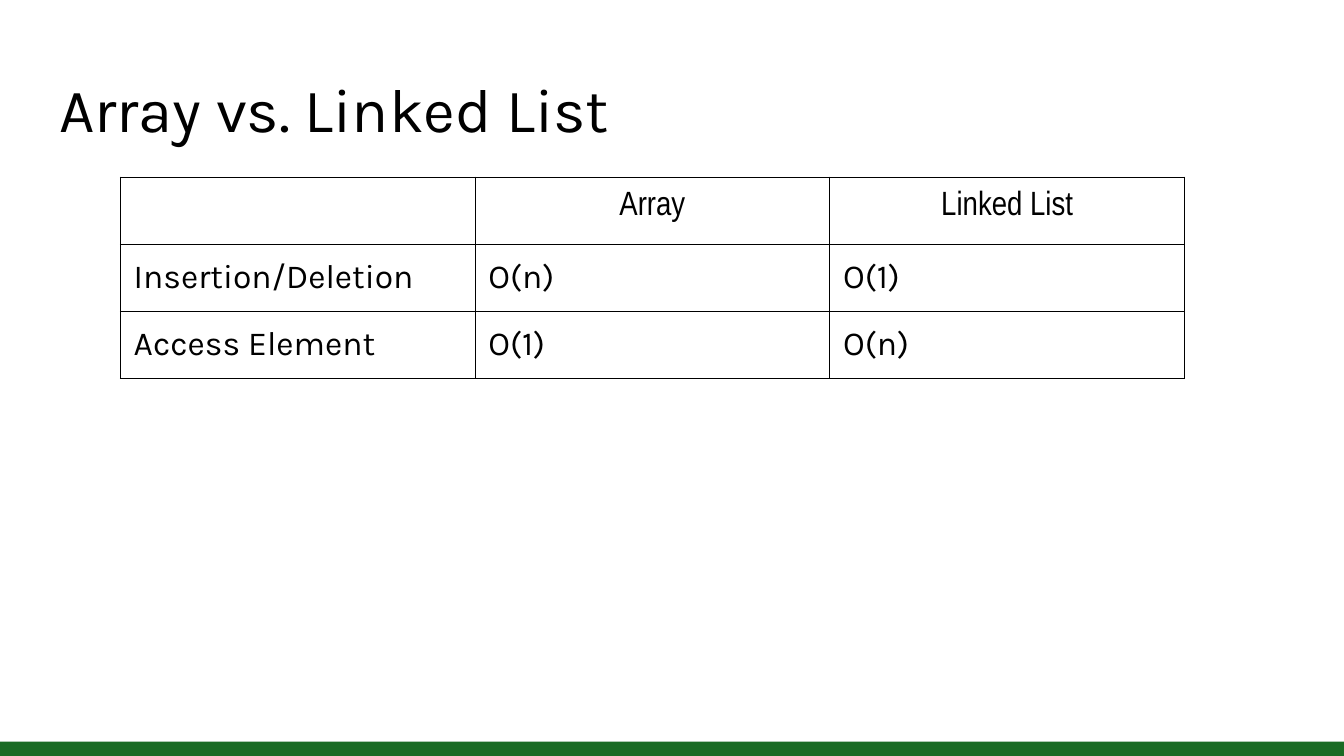
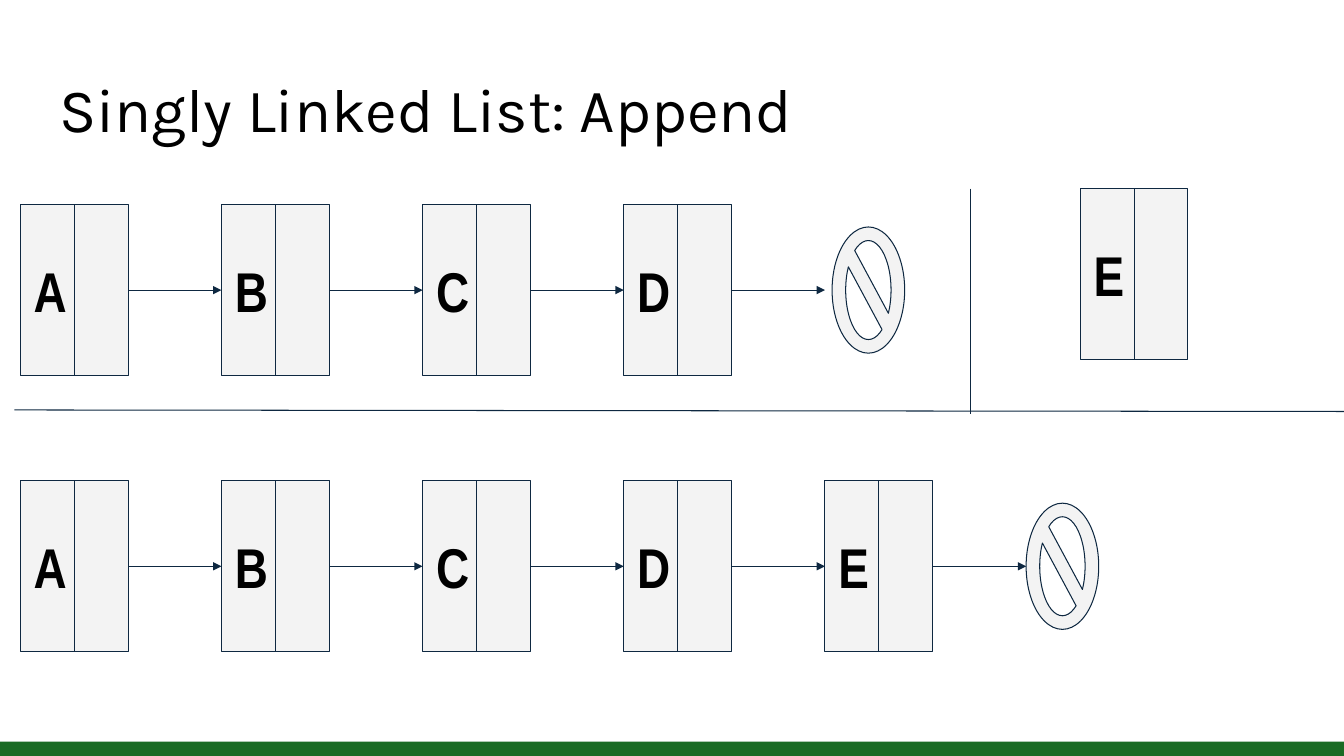
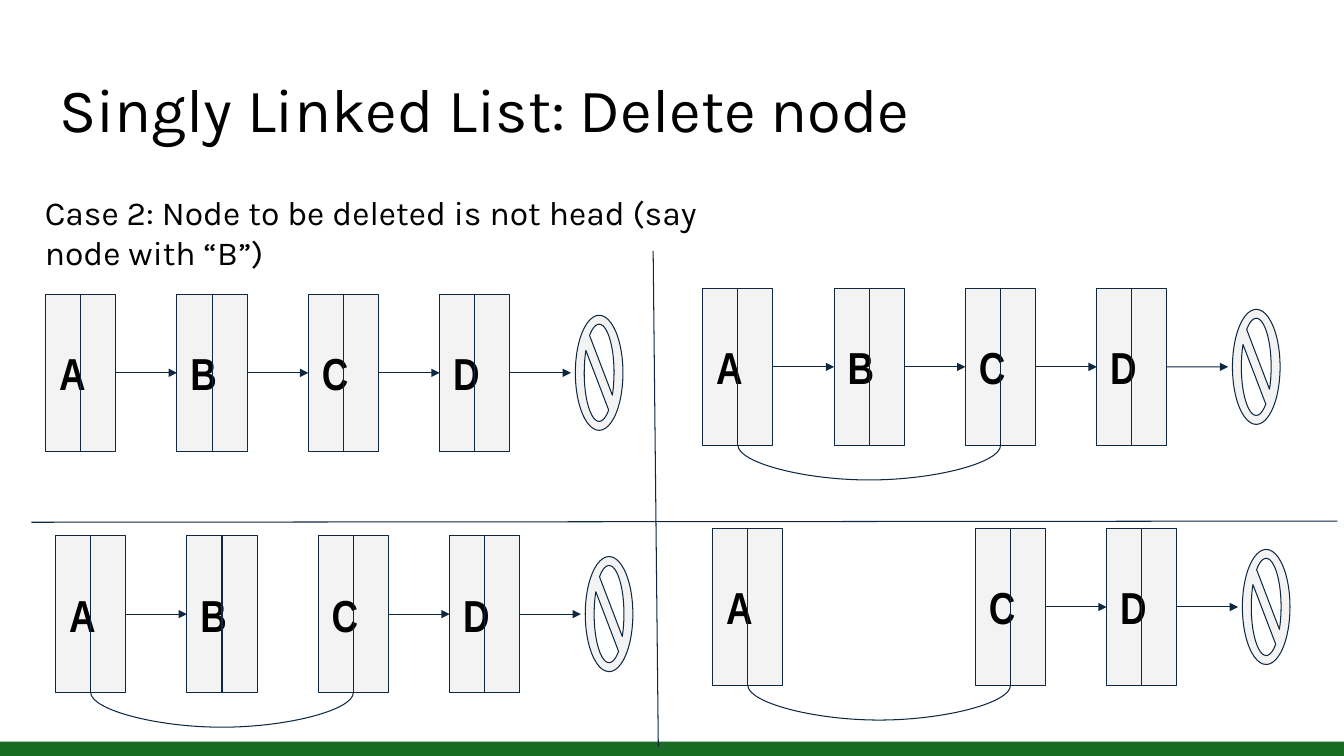
from dataclasses import dataclass

from pptx import Presentation
from pptx.dml.color import RGBColor
from pptx.enum.shapes import MSO_CONNECTOR as Connector, MSO_SHAPE as Shape
from pptx.enum.text import MSO_ANCHOR as Anchor, MSO_AUTO_SIZE as AutoSize, PP_ALIGN as Align
from pptx.oxml.ns import qn
from pptx.util import Cm, Pt
from lxml.etree import SubElement

BLACK, WHITE, GREEN, NAVY, GREY = "000000", "FFFFFF", "196B24", "0E2841", "F3F3F3"
BODY_FONT, NODE_FONT = "Karla", "Arial Narrow"
SLIDE_WIDTH, SLIDE_HEIGHT = 33.87, 19.05
BAND_HEIGHT = 0.36
INSET = 0.34
LINE_WIDTH = 0.75


@dataclass
class ListStyle:
    """Measures of a drawn linked list, in centimetres and points."""
    step: float
    node_width: float
    node_height: float
    null_width: float
    null_height: float
    font_size: int


LARGE = ListStyle(5.07, 2.72, 4.32, 1.83, 3.18, 40)
SMALL = ListStyle(3.31, 1.77, 3.95, 1.2, 2.9, 32)


def color(value):
    """Turn a hex string into a colour."""
    return RGBColor.from_string(value)


def set_text(frame, text, size, font=BODY_FONT, bold=False, align=Align.LEFT, anchor=Anchor.TOP):
    """Fill a text frame with one formatted paragraph."""
    frame.word_wrap = True
    frame.auto_size = AutoSize.NONE
    frame.vertical_anchor = anchor
    frame.margin_left = frame.margin_right = Cm(INSET)
    frame.margin_top = frame.margin_bottom = Cm(INSET)
    frame.text = text
    paragraph = frame.paragraphs[0]
    format_paragraph(paragraph, size, font, bold, align)
    return paragraph


def format_paragraph(paragraph, size, font, bold, align):
    """Align a paragraph and format its runs."""
    paragraph.alignment = align
    for run in paragraph.runs:
        run.font.size = Pt(size)
        run.font.name = font
        run.font.bold = bold
        run.font.color.rgb = color(BLACK)


def add_box(slide, kind, left, top, width, height, fill, line=None):
    """Add a flat preset shape."""
    shape = slide.shapes.add_shape(kind, Cm(left), Cm(top), Cm(width), Cm(height))
    shape.shadow.inherit = False
    shape.fill.solid()
    shape.fill.fore_color.rgb = color(fill)
    if line:
        shape.line.color.rgb = color(line)
        shape.line.width = Pt(LINE_WIDTH)
    else:
        shape.line.fill.background()
    return shape


def add_line(slide, x1, y1, x2, y2, arrow=False, kind=Connector.STRAIGHT):
    """Add a thin connector, with an arrowhead at its end if wanted."""
    line = slide.shapes.add_connector(kind, Cm(x1), Cm(y1), Cm(x2), Cm(y2))
    line.line.color.rgb = color(NAVY)
    line.line.width = Pt(LINE_WIDTH)
    if arrow:
        SubElement(line.line._get_or_add_ln(), qn("a:tailEnd"), type="triangle")
    SubElement(line.element.spPr, qn("a:effectLst"))
    return line


def add_node(slide, left, top, letter, style):
    """Add a list node: a lettered box split by a line."""
    node = add_box(slide, Shape.RECTANGLE, left, top, style.node_width, style.node_height, GREY, NAVY)
    set_text(node.text_frame, letter, style.font_size, NODE_FONT, True, anchor=Anchor.MIDDLE)
    middle = left + style.node_width / 2
    divider = add_line(slide, middle, top, middle, top + style.node_height)
    divider.begin_connect(node, 0)
    divider.end_connect(node, 2)
    return node


def add_bypass(slide, source, target, depth=0.88, thickness=0.01):
    """Curve below the nodes from the bottom of one to the bottom of another."""
    curve = add_line(slide, 0, 0, 1, 1, kind=Connector.CURVE)
    curve.begin_connect(source, 2)
    curve.end_connect(target, 2)
    span = target.left - source.left
    middle = source.left + source.width // 2 + span // 2
    curve.width, curve.height = Cm(thickness), span
    curve.left = middle - curve.width // 2
    curve.top = source.top + source.height - span // 2
    transform = curve.element.spPr.find(qn("a:xfrm"))
    for name, value in (("rot", "16200000"), ("flipH", "1"), ("flipV", "0")):
        transform.set(name, value)
    geometry = curve.element.spPr.find(qn("a:prstGeom"))
    guides = geometry.find(qn("a:avLst"))
    if guides is None:
        guides = SubElement(geometry, qn("a:avLst"))
    SubElement(guides, qn("a:gd"), name="adj1", fmla=f"val {round(depth / thickness * 100000)}")


def draw_list(slide, left, top, letters, style, linked=None, null_gap=0.0, bypass=False):
    """Draw a linked list; a space leaves a slot empty, linked names the nodes with an arrow."""
    linked = letters if linked is None else linked
    nodes = {
        letter: add_node(slide, left + index * style.step, top, letter, style)
        for index, letter in enumerate(letters) if letter != " "
    }
    middle = top + style.node_height / 2
    for index, letter in enumerate(letters):
        if letter not in linked:
            continue
        slot = left + index * style.step
        arrow = add_line(slide, slot + style.node_width, middle, slot + style.step, middle, arrow=True)
        arrow.begin_connect(nodes[letter], 3)
        following = nodes.get(letters[index + 1:index + 2])
        if following is not None:
            arrow.end_connect(following, 1)
    add_box(slide, Shape.NO_SYMBOL, left + len(letters) * style.step + null_gap,
            middle - style.null_height / 2, style.null_width, style.null_height, GREY, NAVY)
    if bypass:
        add_bypass(slide, nodes["A"], nodes["C"])


def add_titled_slide(presentation, title):
    """Add a title-only slide with its title in place."""
    slide = presentation.slides.add_slide(presentation.slide_layouts[5])
    shape = slide.shapes.title
    shape.left, shape.top, shape.width, shape.height = Cm(1.15), Cm(1.65), Cm(31.55), Cm(2.62)
    set_text(shape.text_frame, title, 44).line_spacing = 0.9
    return slide


def put_band_on_layout(slide):
    """Give the layout of the slide its white ground and green bottom band."""
    layout = slide.slide_layout
    layout.background.fill.solid()
    layout.background.fill.fore_color.rgb = color(WHITE)
    band = add_box(slide, Shape.RECTANGLE, 0, SLIDE_HEIGHT - BAND_HEIGHT, SLIDE_WIDTH, BAND_HEIGHT, GREEN)
    layout.shapes.element.append(band.element)


def style_cell(cell, text, font, align):
    """Write a clear cell with thin black borders."""
    cell.margin_left = cell.margin_right = Cm(INSET)
    cell.margin_top = cell.margin_bottom = Cm(INSET)
    cell.text = text
    format_paragraph(cell.text_frame.paragraphs[0], 24, font, False, align)
    properties = cell._tc.get_or_add_tcPr()
    for side in ("lnL", "lnR", "lnT", "lnB"):
        border = SubElement(properties, qn(f"a:{side}"), w=str(Pt(LINE_WIDTH)))
        SubElement(SubElement(border, qn("a:solidFill")), qn("a:srgbClr"), val=BLACK)
    cell.fill.background()


def add_comparison(slide, left, top, column_width, row_height, rows):
    """Add the comparison table, its first row being centred headings."""
    columns = len(rows[0])
    table = slide.shapes.add_table(len(rows), columns, Cm(left), Cm(top),
                                   Cm(columns * column_width), Cm(len(rows) * row_height)).table
    table.first_row = table.horz_banding = False
    for row_index, row in enumerate(rows):
        font, align = (BODY_FONT, Align.LEFT) if row_index else (NODE_FONT, Align.CENTER)
        for column_index, text in enumerate(row):
            style_cell(table.cell(row_index, column_index), text, font, align)


def build_comparison_slide(presentation):
    """Compare arrays and linked lists."""
    slide = add_titled_slide(presentation, "Array vs. Linked List")
    put_band_on_layout(slide)
    add_comparison(slide, 3.03, 4.46, 8.94, 1.69, [
        ["", "Array", "Linked List"],
        ["Insertion/Deletion", "O(n)", "O(1)"],
        ["Access Element", "O(1)", "O(n)"],
    ])


def build_append_slide(presentation):
    """Show a list before and after appending a node."""
    slide = add_titled_slide(presentation, "Singly Linked List: Append")
    draw_list(slide, 0.51, 5.15, "ABCD", LARGE, null_gap=0.18)
    add_node(slide, 27.22, 4.75, "E", LARGE)
    add_line(slide, 24.45, 4.75, 24.45, 10.44)
    add_line(slide, 0.36, 10.33, SLIDE_WIDTH, 10.37)
    draw_list(slide, 0.51, 12.11, "ABCDE", LARGE)


def build_delete_slide(presentation):
    """Show the four stages of deleting an inner node."""
    slide = add_titled_slide(presentation, "Singly Linked List: Delete node")
    caption = slide.shapes.add_textbox(Cm(0.79), Cm(4.5), Cm(18.67), Cm(1.96))
    set_text(caption.text_frame, "Case 2: Node to be deleted is not head (say node with “B”)", 24)
    stages = [
        (1.15, 7.42, "ABCD", "ABCD", False),
        (17.71, 7.27, "ABCD", "ABCD", True),
        (1.4, 13.5, "ABCD", "ACD", True),
        (17.96, 13.32, "A CD", "CD", True),
    ]
    for left, top, letters, linked, bypass in stages:
        draw_list(slide, left, top, letters, SMALL, linked, 0.11, bypass)
    add_line(slide, 16.46, 6.32, 16.59, 18.82)
    add_line(slide, 0.79, 13.16, 33.7, 13.13)


def main():
    """Build and save the presentation."""
    presentation = Presentation()
    presentation.slide_width, presentation.slide_height = Cm(SLIDE_WIDTH), Cm(SLIDE_HEIGHT)
    build_comparison_slide(presentation)
    build_append_slide(presentation)
    build_delete_slide(presentation)
    presentation.save("out.pptx")


if __name__ == "__main__":
    main()
